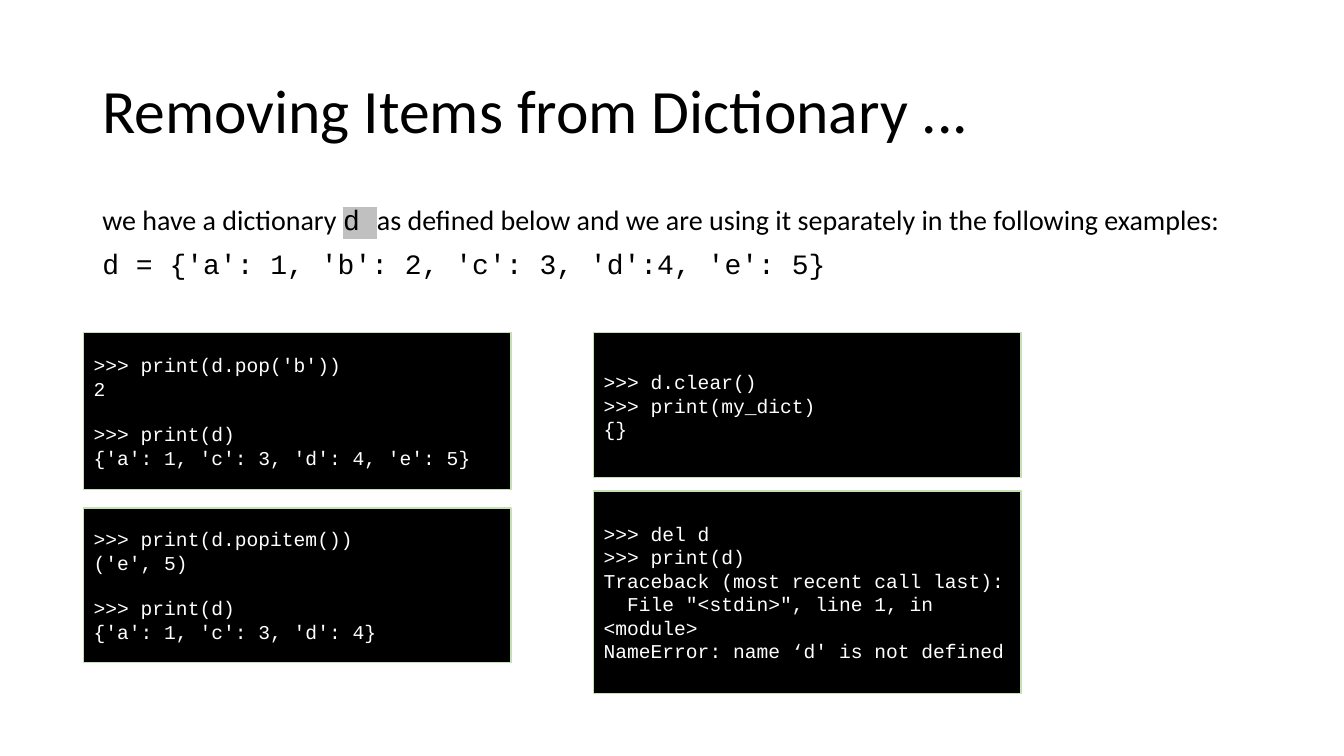
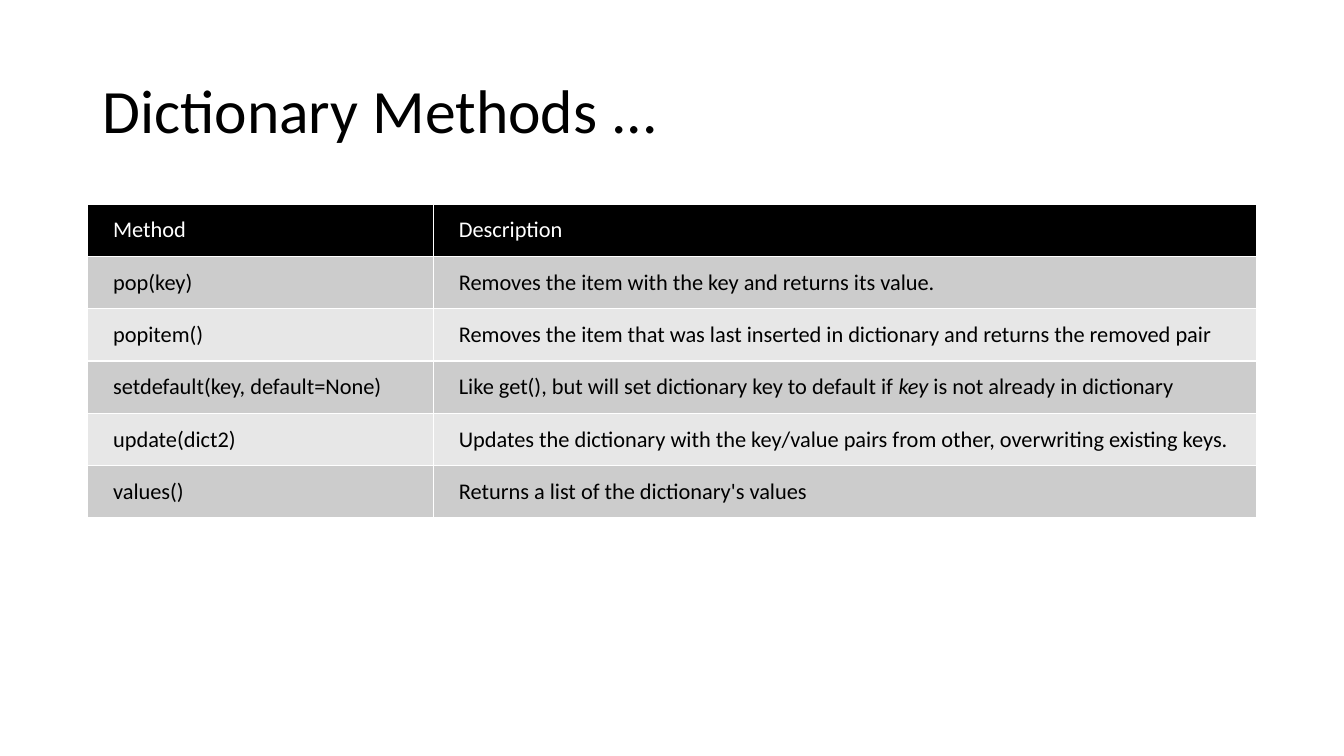
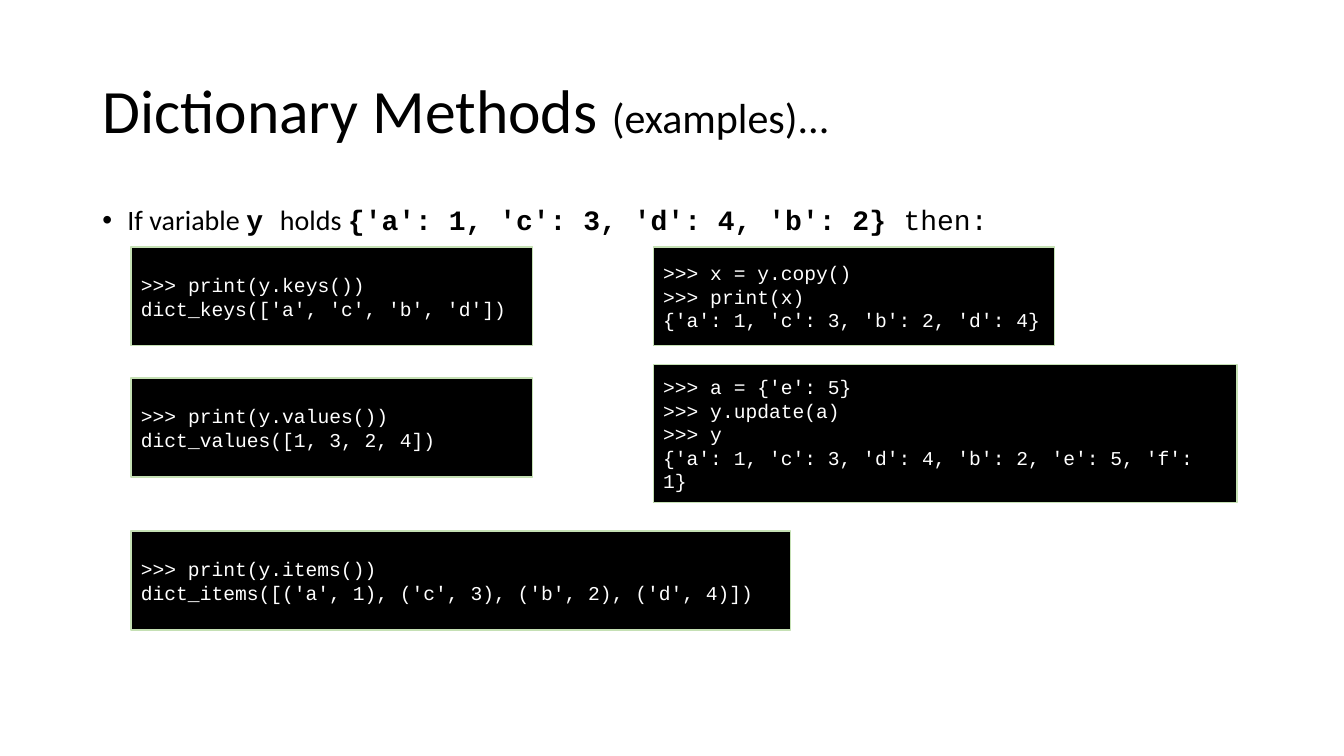
"""Builds three slides on removing dictionary items and on dictionary methods."""
from lxml.etree import SubElement
from pptx import Presentation
from pptx.dml.color import RGBColor
from pptx.enum.shapes import MSO_SHAPE as SHAPE
from pptx.enum.text import MSO_ANCHOR as ANCHOR, PP_ALIGN as ALIGN
from pptx.oxml import parse_xml
from pptx.oxml.ns import nsdecls, qn
from pptx.util import Pt

BLACK = RGBColor(0, 0, 0)
WHITE = RGBColor(255, 255, 255)
PANEL_EDGE = RGBColor(0xC5, 0xE0, 0xB4)
BANDS = RGBColor(0xE7, 0xE7, 0xE7), RGBColor(0xCC, 0xCC, 0xCC)
SANS, MONO = "Calibri", "Courier New"

TITLE_BOX = 66, 28.8, 828, 104.4
BODY_BOX = 66, 144, 828, 342.7
TITLE_SIZE, BODY_SIZE, CELL_SIZE, CODE_SIZE = 44, 20, 16, 14
CODE_LINE = 15.86
BULLET_INDENT = 18

CODE = {"face": MONO}
BOLD_CODE = {"face": MONO, "bold": True}
MARKED_CODE = {"face": MONO, "highlight": "C0C0C0"}

REMOVING_TITLE = [("Removing Items from Dictionary ...", {})]
REMOVING_BODY = [
    [("we have a dictionary ", {}), ("d ", MARKED_CODE),
     ("as defined below and we are using it separately in the following examples:", {})],
    [("d = {'a': 1, 'b': 2, 'c': 3, 'd':4, 'e': 5}", CODE)],
]
REMOVING_COLUMNS = [
    (59.8, [
        (237.6, 305.3, 112.3, [[">>> print(d.pop('b'))", "2"],
                               [">>> print(d)", "{'a': 1, 'c': 3, 'd': 4, 'e': 5}"]]),
        (362.9, 305.3, 110.2, [[">>> print(d.popitem())", "('e', 5)"],
                               [">>> print(d)", "{'a': 1, 'c': 3, 'd': 4}"]]),
    ]),
    (424.1, [
        (237.6, 305.3, 103.7, [[">>> d.clear()", ">>> print(my_dict)", "{}"]]),
        (350.6, 305.3, 144.7, [[">>> del d", ">>> print(d)",
                                "Traceback (most recent call last):",
                                "  File \"<stdin>\", line 1, in <module>",
                                "NameError: name ‘d' is not defined"]]),
    ]),
]

METHODS_TITLE = [("Dictionary Methods ...", {})]
METHODS = [
    ("Method", "Description"),
    ("pop(key)", "Removes the item with the key and returns its value."),
    ("popitem()",
     "Removes the item that was last inserted in dictionary and returns the removed pair"),
    ("setdefault(key, default=None)",
     [("Like get(), but will set dictionary key to default if ", {}),
      ("key", {"italic": True}), (" is not already in dictionary", {})]),
    ("update(dict2)",
     "Updates the dictionary with the key/value pairs from other, overwriting existing keys."),
    ("values()", "Returns a list of the dictionary's values"),
]
METHODS_CORNER = 62.8, 145.8
METHODS_WIDTHS = 247, 588
METHODS_ROW = 37.35
CELL_MARGIN_X, CELL_MARGIN_Y = 18, 8.9

EXAMPLES_TITLE = [("Dictionary Methods ", {}), ("(examples)...", {"size": 30})]
EXAMPLES_BODY = [
    [("If variable ", {}), ("y ", BOLD_CODE), ("holds ", {}),
     ("{'a': 1, 'c': 3, 'd': 4, 'b': 2}", BOLD_CODE), (" then:", CODE)],
]
EXAMPLES_COLUMNS = [
    (93.6, [
        (176.4, 286.6, 70.6, [[">>> print(y.keys())", "dict_keys(['a', 'c', 'b', 'd'])"]]),
        (270, 286.6, 70.6, [[">>> print(y.values())", "dict_values([1, 3, 2, 4])"]]),
        (379.4, 470.9, 70.6, [[">>> print(y.items())",
                               "dict_items([('a', 1), ('c', 3), ('b', 2), ('d', 4)])"]]),
    ]),
    (466.6, [
        (176.4, 286.6, 70.6, [[">>> x = y.copy()", ">>> print(x)",
                               "{'a': 1, 'c': 3, 'b': 2, 'd': 4}"]]),
        (260.6, 416.9, 98.6, [[">>> a = {'e': 5}", ">>> y.update(a)", ">>> y",
                               "{'a': 1, 'c': 3, 'd': 4, 'b': 2, 'e': 5, 'f': 1}"]]),
    ]),
]


def write(paragraph, parts, size, color=BLACK):
    for text, style in parts:
        run = paragraph.add_run()
        run.text = text
        font = run.font
        font.size = Pt(style.get("size", size))
        font.name = style.get("face", SANS)
        font.bold = style.get("bold", False)
        font.italic = style.get("italic", False)
        font.color.rgb = color
        if "highlight" in style:
            mark = parse_xml(f'<a:highlight {nsdecls("a")}>'
                             f'<a:srgbClr val="{style["highlight"]}"/></a:highlight>')
            font.fill._xPr.find(qn("a:latin")).addprevious(mark)


def add_bullet(paragraph):
    properties = paragraph._p.get_or_add_pPr()
    properties.set("marL", str(Pt(BULLET_INDENT)))
    properties.set("indent", str(-Pt(BULLET_INDENT)))
    SubElement(properties, qn("a:buFont")).set("typeface", "Arial")
    SubElement(properties, qn("a:buChar")).set("char", "•")


def add_text(slide, box, paragraphs, size, anchor=ANCHOR.TOP, bulleted=False):
    frame = slide.shapes.add_textbox(*map(Pt, box)).text_frame
    frame.word_wrap = True
    frame.vertical_anchor = anchor
    for index, parts in enumerate(paragraphs):
        paragraph = frame.add_paragraph() if index else frame.paragraphs[0]
        if bulleted:
            add_bullet(paragraph)
        paragraph.line_spacing = 0.9
        if index:
            paragraph.space_before = Pt(10)
        write(paragraph, parts, size)


def add_code_panel(slide, box, blocks):
    panel = slide.shapes.add_shape(SHAPE.RECTANGLE, *map(Pt, box))
    panel.shadow.inherit = False
    panel.fill.solid()
    panel.fill.fore_color.rgb = BLACK
    panel.line.color.rgb = PANEL_EDGE
    panel.line.width = Pt(1)
    frame = panel.text_frame
    frame.word_wrap = True
    frame.vertical_anchor = ANCHOR.MIDDLE
    lines = [(number, block_index) for block_index, block in enumerate(blocks)
             for number in range(len(block))]
    for index, (number, block_index) in enumerate(lines):
        paragraph = frame.add_paragraph() if index else frame.paragraphs[0]
        paragraph.alignment = ALIGN.LEFT
        if index and number == 0:
            paragraph.space_before = Pt(CODE_LINE)
        write(paragraph, [(blocks[block_index][number], CODE)], CODE_SIZE, WHITE)


def add_methods_table(slide):
    table = slide.shapes.add_table(
        len(METHODS), len(METHODS_WIDTHS), *map(Pt, METHODS_CORNER),
        Pt(sum(METHODS_WIDTHS)), Pt(METHODS_ROW * len(METHODS))).table
    table.first_row = table.horz_banding = False
    for column, width in zip(table.columns, METHODS_WIDTHS):
        column.width = Pt(width)
    for row_index, entries in enumerate(METHODS):
        table.rows[row_index].height = Pt(METHODS_ROW)
        for column_index, entry in enumerate(entries):
            cell = table.cell(row_index, column_index)
            cell.fill.solid()
            cell.fill.fore_color.rgb = BANDS[row_index % 2] if row_index else BLACK
            cell.vertical_anchor = ANCHOR.MIDDLE
            cell.margin_left = cell.margin_right = Pt(CELL_MARGIN_X)
            cell.margin_top = cell.margin_bottom = Pt(CELL_MARGIN_Y)
            parts = [(entry, {})] if isinstance(entry, str) else entry
            write(cell.text_frame.paragraphs[0], parts, CELL_SIZE,
                  BLACK if row_index else WHITE)


def add_titled_slide(deck, title):
    slide = deck.slides.add_slide(deck.slide_layouts[6])
    add_text(slide, TITLE_BOX, [title], TITLE_SIZE, ANCHOR.MIDDLE)
    return slide


def add_code_slide(deck, title, body, columns, bulleted=False):
    slide = add_titled_slide(deck, title)
    add_text(slide, BODY_BOX, body, BODY_SIZE, bulleted=bulleted)
    for left, panels in columns:
        for top, width, height, blocks in panels:
            add_code_panel(slide, (left, top, width, height), blocks)


def main():
    deck = Presentation()
    deck.slide_width, deck.slide_height = Pt(960), Pt(540)
    add_code_slide(deck, REMOVING_TITLE, REMOVING_BODY, REMOVING_COLUMNS)
    add_methods_table(add_titled_slide(deck, METHODS_TITLE))
    add_code_slide(deck, EXAMPLES_TITLE, EXAMPLES_BODY, EXAMPLES_COLUMNS, bulleted=True)
    deck.save("out.pptx")


if __name__ == "__main__":
    main()
